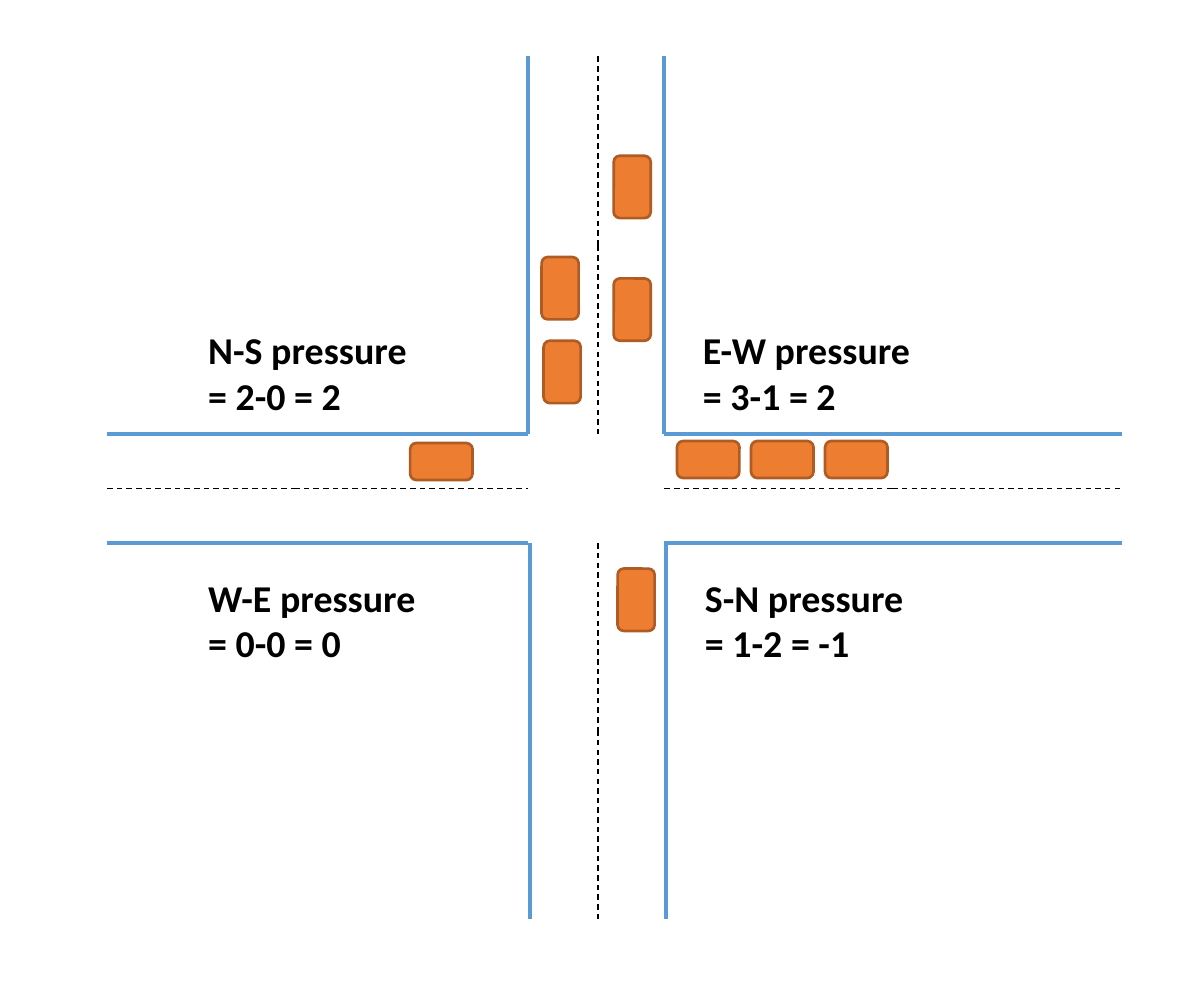
from dataclasses import dataclass
from itertools import pairwise

import pptx
import pptx.dml.color
import pptx.enum.dml
import pptx.enum.shapes
import pptx.enum.text
import pptx.oxml
import pptx.slide
import pptx.util
from pptx.util import Inches

KERB_COLOUR = "5B9BD5"
CENTRE_COLOUR = "000000"
CAR_FILL = "ED7D31"
CAR_OUTLINE = "AF5C24"
TEXT_COLOUR = "000000"
CAR_WIDTH, CAR_LENGTH = 0.19, 0.32
LABEL_WIDTH, LABEL_HEIGHT = 1.78, 0.57


@dataclass(frozen=True)
class Arm:
    vertical: bool
    lanes: tuple[float, float, float]
    stops: tuple[float, float, float]


@dataclass(frozen=True)
class Car:
    left: float
    top: float
    rotation: int = 0


@dataclass(frozen=True)
class Label:
    left: float
    top: float
    direction: str
    sum: str


ARMS = [
    Arm(True, (2.71, 3.07, 3.41), (0.29, 1.26, 2.23)),
    Arm(True, (2.72, 3.07, 3.42), (2.79, 3.75, 4.72)),
    Arm(False, (2.23, 2.51, 2.79), (0.55, 1.51, 2.71)),
    Arm(False, (2.23, 2.51, 2.79), (3.41, 4.58, 5.76)),
]

CARS = [
    Car(2.79, 1.75),
    Car(2.78, 1.32),
    Car(3.17, 2.92),
    Car(3.15, 1.43),
    Car(3.15, 0.8),
    Car(2.17, 2.21, 90),
    *[Car(3.54 + 0.38 * place, 2.2, 90) for place in range(3)],
]

LABELS = [
    Label(0.97, 1.63, "N-S", "2-0 = 2"),
    Label(3.51, 1.63, "E-W", "3-1 = 2"),
    Label(0.97, 2.9, "W-E", "0-0 = 0"),
    Label(3.52, 2.9, "S-N", "1-2 = -1"),
]


def colour(value: str) -> pptx.dml.color.RGBColor:
    return pptx.dml.color.RGBColor.from_string(value)


def draw_line(page: pptx.slide.Slide, start: tuple[float, float],
              end: tuple[float, float], centre: bool) -> None:
    connector = page.shapes.add_connector(
        pptx.enum.shapes.MSO_CONNECTOR.STRAIGHT,
        *map(Inches, (*start, *end)))
    connector.line.color.rgb = colour(CENTRE_COLOUR if centre else KERB_COLOUR)
    connector.line.width = pptx.util.Pt(0.5 if centre else 1.5)
    if centre:
        connector.line.dash_style = pptx.enum.dml.MSO_LINE.DASH
    properties = connector._element.spPr
    properties.append(pptx.oxml.parse_xml(
        '<a:effectLst xmlns:a='
        '"http://schemas.openxmlformats.org/drawingml/2006/main"/>'))


def draw_arm(page: pptx.slide.Slide, arm: Arm) -> None:
    for index, lane in enumerate(arm.lanes):
        for near, far in pairwise(arm.stops):
            if arm.vertical:
                start, end = (lane, near), (lane, far)
            else:
                start, end = (near, lane), (far, lane)
            draw_line(page, start, end, centre=index == 1)


def draw_car(page: pptx.slide.Slide, car: Car) -> None:
    shape = page.shapes.add_shape(
        pptx.enum.shapes.MSO_SHAPE.ROUNDED_RECTANGLE,
        Inches(car.left), Inches(car.top),
        Inches(CAR_WIDTH), Inches(CAR_LENGTH))
    shape.rotation = car.rotation
    shape.shadow.inherit = False
    shape.fill.solid()
    shape.fill.fore_color.rgb = colour(CAR_FILL)
    shape.line.color.rgb = colour(CAR_OUTLINE)
    shape.line.width = pptx.util.Pt(1)


def draw_label(page: pptx.slide.Slide, label: Label) -> None:
    box = page.shapes.add_textbox(
        Inches(label.left), Inches(label.top),
        Inches(LABEL_WIDTH), Inches(LABEL_HEIGHT))
    frame = box.text_frame
    frame.word_wrap = True
    frame.auto_size = pptx.enum.text.MSO_AUTO_SIZE.SHAPE_TO_FIT_TEXT
    frame.text = f"{label.direction} pressure\n= {label.sum}"
    for para in frame.paragraphs:
        para.font.name = "Calibri"
        para.font.size = pptx.util.Pt(14)
        para.font.bold = True
        para.font.color.rgb = colour(TEXT_COLOUR)


def main() -> None:
    deck = pptx.Presentation()
    deck.slide_width = Inches(6.18)
    deck.slide_height = Inches(5.12)
    page = deck.slides.add_slide(deck.slide_layouts.get_by_name("Blank"))
    for arm in ARMS:
        draw_arm(page, arm)
    for car in CARS:
        draw_car(page, car)
    for label in LABELS:
        draw_label(page, label)
    deck.save("out.pptx")


if __name__ == "__main__":
    main()
